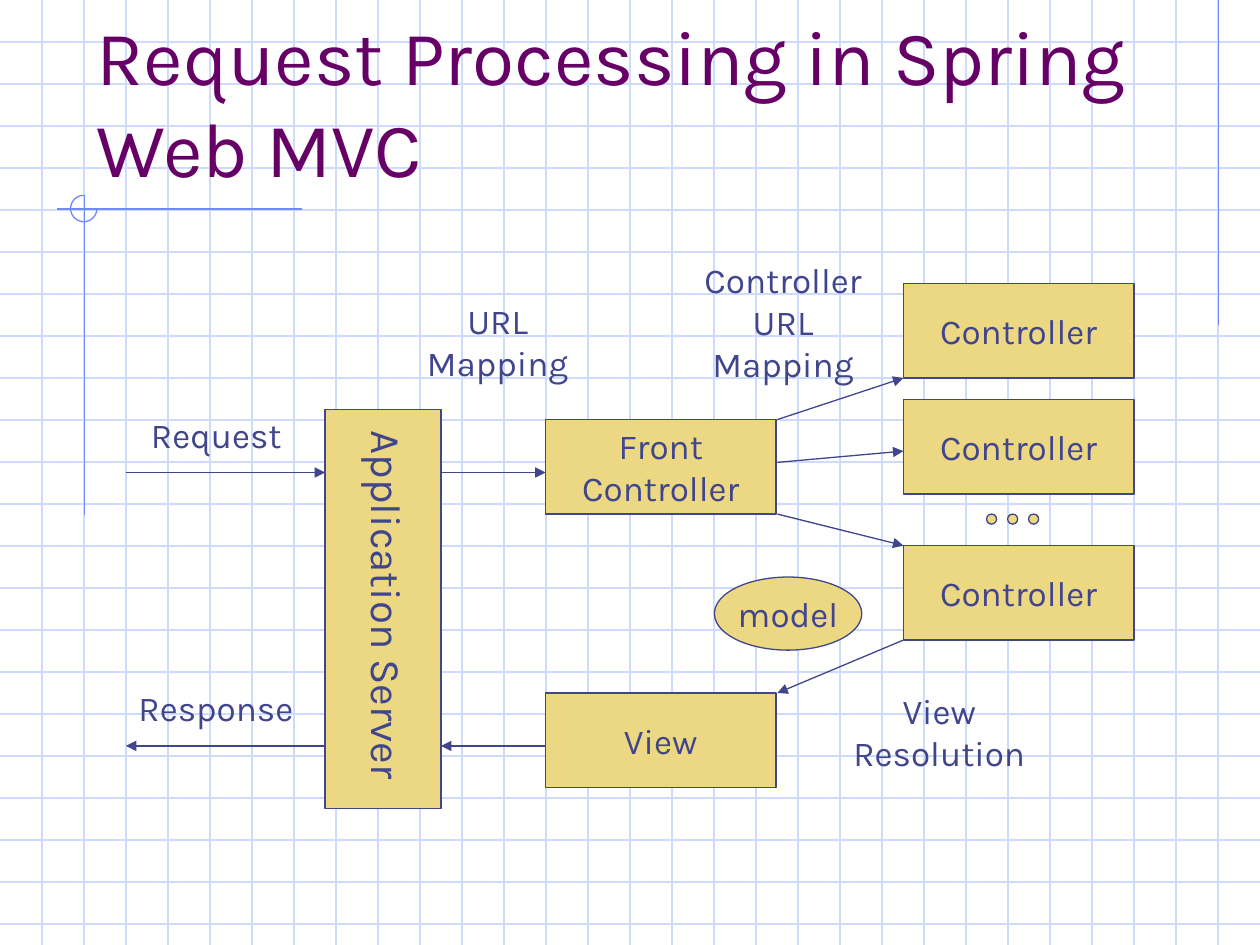
from dataclasses import dataclass

from lxml import etree
from pptx import Presentation
from pptx import util as u
from pptx.dml.color import RGBColor
from pptx.enum import shapes, text
from pptx.oxml.ns import qn


@dataclass(frozen=True)
class Theme:
    """Colours, font and sizes of the slide."""
    font: str = "Karla"
    title: str = "660066"
    ink: str = "40458C"
    box: str = "ECD882"
    grid: str = "CFDBFD"
    accent: str = "6F89F7"
    title_size: float = 44
    server_size: float = 24
    label_size: float = 20
    line_width: float = 0.75


class Canvas:
    """Draws styled elements on the current slide."""

    def __init__(self, slide, theme):
        self.slide = slide
        self.theme = theme

    def outline(self, line, color):
        line.color.rgb = RGBColor.from_string(color)
        line.width = u.Pt(self.theme.line_width)

    def set_text(self, shape, words, size, color, align, anchor, wrap=False):
        frame = shape.text_frame
        frame.text = words
        frame.word_wrap = wrap
        frame.vertical_anchor = anchor
        for paragraph in frame.paragraphs:
            paragraph.alignment = align
            paragraph.font.name = self.theme.font
            paragraph.font.size = u.Pt(size)
            paragraph.font.color.rgb = RGBColor.from_string(color)

    def line(self, start, end, color):
        connector = self.slide.shapes.add_connector(
            shapes.MSO_CONNECTOR.STRAIGHT, *map(u.Inches, (*start, *end)))
        self.outline(connector.line, color)
        etree.SubElement(connector._element.spPr, qn("a:effectLst"))
        return connector

    def arrow(self, start, end):
        connector = self.line(start, end, self.theme.ink)
        outline = connector._element.spPr.find(qn("a:ln"))
        etree.SubElement(outline, qn("a:tailEnd"), type="triangle")

    def arc(self, left, top, width, height):
        shape = self.slide.shapes.add_shape(
            shapes.MSO_SHAPE.ARC, *map(u.Inches, (left, top, width, height)))
        shape.adjustments[0] = 0
        shape.adjustments[1] = 162
        shape.shadow.inherit = False
        shape.fill.background()
        self.outline(shape.line, self.theme.accent)

    def box(self, left, top, width, height, words="", kind=shapes.MSO_SHAPE.RECTANGLE):
        shape = self.slide.shapes.add_shape(
            kind, *map(u.Inches, (left, top, width, height)))
        shape.shadow.inherit = False
        shape.fill.solid()
        shape.fill.fore_color.rgb = RGBColor.from_string(self.theme.box)
        self.outline(shape.line, self.theme.ink)
        if words:
            self.set_text(shape, words, self.theme.label_size, self.theme.ink,
                          text.PP_ALIGN.CENTER, text.MSO_ANCHOR.MIDDLE)

    def label(self, left, top, width, height, words, size=None,
              align=text.PP_ALIGN.CENTER, rotation=0):
        shape = self.slide.shapes.add_textbox(*map(u.Inches, (left, top, width, height)))
        shape.rotation = rotation
        self.set_text(shape, words, size or self.theme.label_size, self.theme.ink,
                      align, text.MSO_ANCHOR.TOP)
        shape.text_frame.auto_size = text.MSO_AUTO_SIZE.SHAPE_TO_FIT_TEXT

    def title(self, left, top, width, height, words):
        shape = self.slide.shapes.add_textbox(*map(u.Inches, (left, top, width, height)))
        self.set_text(shape, words, self.theme.title_size, self.theme.title,
                      text.PP_ALIGN.LEFT, text.MSO_ANCHOR.BOTTOM, wrap=True)


def draw_background(canvas):
    """Draw the graph paper and the accent lines."""
    grid, accent = canvas.theme.grid, canvas.theme.accent
    for row in range(1, 23):
        canvas.line((0, row / 3), (10, row / 3), grid)
    for column in range(1, 30):
        canvas.line((column / 3, 0), (column / 3, 7.5), grid)
    canvas.line((9.67, 0), (9.67, 2.58), accent)
    canvas.line((2.4, 1.66), (0.45, 1.66), accent)
    canvas.line((0.67, 1.55), (0.67, 4.09), accent)
    canvas.arc(0.56, 1.55, 0.21, 0.21)


def draw_flow(canvas):
    """Draw the request and response flow."""
    box_width, box_height = 1.83, 0.75
    server_left, server_right = 2.58, 3.5
    middle_left, middle_right = 4.33, 6.17
    controller_left = 7.17
    request_y, response_y = 3.75, 5.92
    left = text.PP_ALIGN.LEFT

    canvas.box(server_left, 3.25, server_right - server_left, 3.17)
    canvas.label(1.56, 4.59, 3.04, 0.5, "Application Server",
                 canvas.theme.server_size, left, 90)
    canvas.box(middle_left, 3.33, box_width, box_height, "Front\nController")
    canvas.box(middle_left, 5.5, box_width, box_height, "View")
    for top in (2.25, 3.17, 4.33):
        canvas.box(controller_left, top, box_width, box_height, "Controller")
    canvas.box(5.67, 4.58, 1.17, 0.58, "model", shapes.MSO_SHAPE.OVAL)
    for dot in range(3):
        canvas.box(7.83 + dot / 6, 4.08, 0.08, 0.08, kind=shapes.MSO_SHAPE.OVAL)

    canvas.arrow((1, request_y), (server_left, request_y))
    canvas.arrow((server_right, request_y), (middle_left, request_y))
    for start_y, end_y in ((3.33, 3), (3.67, 3.58), (4.08, 4.33)):
        canvas.arrow((middle_right, start_y), (controller_left, end_y))
    canvas.arrow((controller_left, 5.08), (middle_right, 5.5))
    canvas.arrow((middle_left, response_y), (server_right, response_y))
    canvas.arrow((server_left, response_y), (1, response_y))

    canvas.label(1.1, 3.23, 1.26, 0.44, "Request", align=left)
    canvas.label(1, 5.4, 1.46, 0.44, "Response", align=left)
    canvas.label(5.46, 2, 1.51, 1.1, "Controller\nURL\nMapping")
    canvas.label(3.27, 2.33, 1.36, 0.77, "URL\nMapping")
    canvas.label(6.66, 5.42, 1.59, 0.77, "View\nResolution")


def main():
    """Build and save the presentation."""
    presentation = Presentation()
    presentation.slide_width = u.Inches(10)
    presentation.slide_height = u.Inches(7.5)
    slide = presentation.slides.add_slide(presentation.slide_layouts[6])
    canvas = Canvas(slide, Theme())
    draw_background(canvas)
    canvas.title(0.67, 0.33, 8.5, 1.25, "Request Processing in Spring Web MVC")
    draw_flow(canvas)
    presentation.save("out.pptx")


if __name__ == "__main__":
    main()
